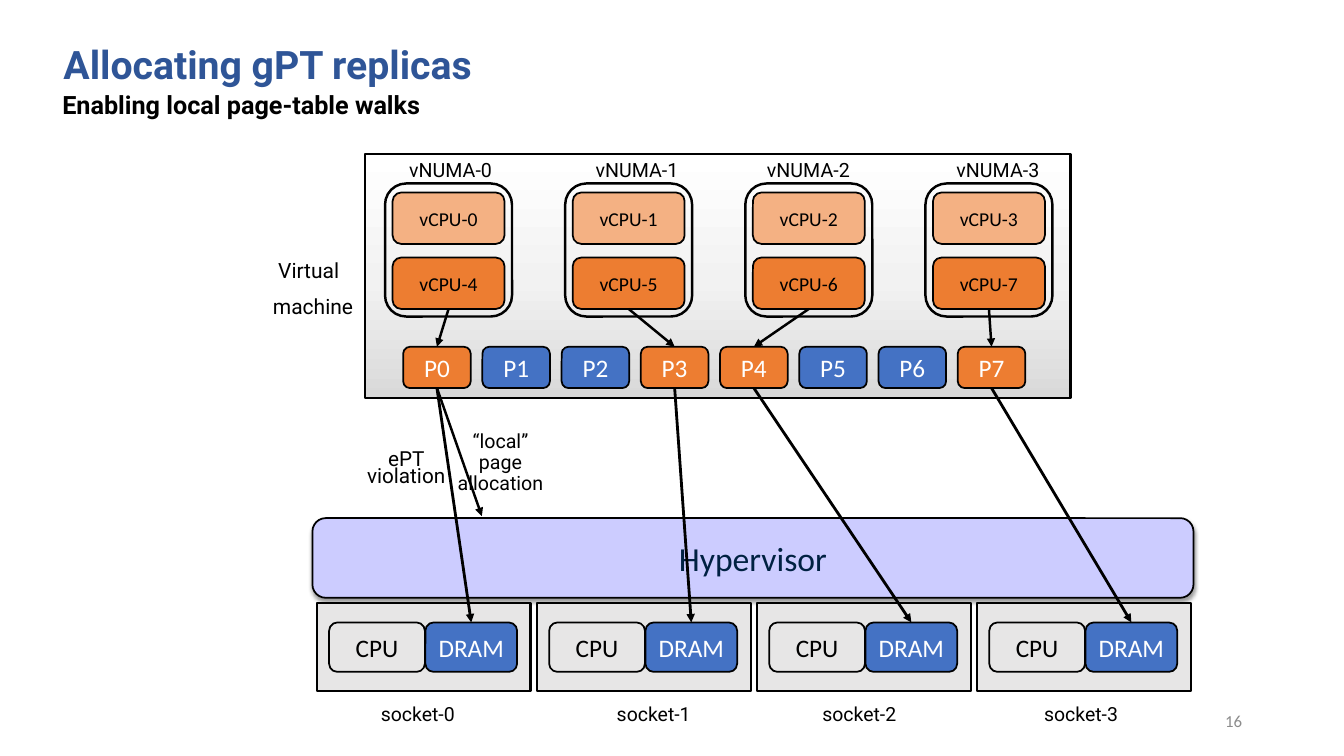
from copy import deepcopy

from lxml.etree import SubElement
from pptx import Presentation
from pptx.dml.color import RGBColor
from pptx.enum.shapes import MSO_CONNECTOR as Link, MSO_SHAPE as Form
from pptx.enum.text import MSO_ANCHOR as Anchor, PP_ALIGN as Align
from pptx.oxml.ns import qn
from pptx.util import Inches, Pt

CELL = Inches(0.1)
COLUMNS, ROWS = 133.33, 75
TOP, BOTTOM = 0, 2

BLACK = RGBColor(0x00, 0x00, 0x00)
WHITE = RGBColor(0xFF, 0xFF, 0xFF)
TITLE_BLUE = RGBColor(0x2F, 0x55, 0x97)
NAVY = RGBColor(0x00, 0x21, 0x42)
GRAY = RGBColor(0x8C, 0x8C, 0x8C)
LAVENDER = RGBColor(0xCC, 0xCC, 0xFF)
BLUE = RGBColor(0x44, 0x72, 0xC4)
ORANGE = RGBColor(0xED, 0x7D, 0x31)
PEACH = RGBColor(0xF4, 0xB1, 0x83)
SILVER = RGBColor(0xE7, 0xE6, 0xE6)
VM_STOPS = (
    (0, RGBColor(0xD9, 0xD9, 0xD9)),
    (0.48, RGBColor(0xF2, 0xF2, 0xF2)),
    (1, WHITE),
)

LOCAL_PAGES = (0, 3, 4, 7)
VNUMA_LABEL_COLUMNS = (38.3, 56.8, 73.8, 92.6)
SOCKET_LABEL_COLUMNS = (36.8, 60.2, 80.6, 102.6)


def cells(*counts):
    """Turn counts of grid cells into lengths."""
    return [round(count * CELL) for count in counts]


def apply(target, values):
    """Set each named format value on the target."""
    for name, value in values.items():
        setattr(target, name, value)


def write(frame, text, size, color, face, bold=False, **layout):
    """Write one paragraph per line of text with a common format."""
    frame.text = text
    for index, paragraph in enumerate(frame.paragraphs):
        apply(paragraph, layout)
        if index:
            paragraph.space_before = Pt(10)
        apply(paragraph.font, {"size": Pt(size), "name": face, "bold": bold})
        paragraph.font.color.rgb = color


def box(slide, area, fill=None, weight=1.25, form=Form.ROUNDED_RECTANGLE):
    """Add an outlined box, unfilled when no colour is given."""
    shape = slide.shapes.add_shape(form, *cells(*area))
    shape.shadow.inherit = False
    if fill is None:
        shape.fill.background()
    else:
        shape.fill.solid()
        shape.fill.fore_color.rgb = fill
    shape.line.color.rgb = BLACK
    shape.line.width = Pt(weight)
    return shape


def node(slide, area, text, fill, size=18, color=WHITE):
    """Add a rounded box with a centred label."""
    shape = box(slide, area, fill)
    apply(shape.text_frame, {"vertical_anchor": Anchor.MIDDLE, "word_wrap": False})
    write(shape.text_frame, text, size, color, "Calibri", alignment=Align.CENTER)
    return shape


def label(slide, area, text, size, color=BLACK, face="Roboto", bold=False,
          frame_format=None, **layout):
    """Add a free text label."""
    frame = slide.shapes.add_textbox(*cells(*area)).text_frame
    apply(frame, {"word_wrap": True, **(frame_format or {})})
    write(frame, text, size, color, face, bold, **layout)


def arrow(slide, source, target=None, end=(0, 0), weight=1.75):
    """Draw an arrow from a box's bottom to another's top or to a point."""
    connector = slide.shapes.add_connector(Link.STRAIGHT, 0, 0, *cells(*end))
    connector.begin_connect(source, BOTTOM)
    if target is not None:
        connector.end_connect(target, TOP)
    connector.line.color.rgb = BLACK
    connector.line.width = Pt(weight)
    SubElement(connector.get_or_add_ln(), qn("a:tailEnd"), type="triangle")
    SubElement(connector._element.spPr, qn("a:effectLst"))


def heading(slide):
    """Add the title, the subtitle and the page number."""
    flush = dict.fromkeys(
        ("margin_left", "margin_top", "margin_right", "margin_bottom"), 0)
    label(slide, (6.3, 4.5, 120.3, 4.2), "Allocating gPT replicas", 28, TITLE_BLUE,
          bold=True, line_spacing=0.9,
          frame_format={**flush, "vertical_anchor": Anchor.BOTTOM, "word_wrap": False})
    label(slide, (5.2, 8.7, 87.4, 5), "Enabling local page-table walks", 18,
          bold=True, line_spacing=0.9)
    label(slide, (94.2, 69.5, 30, 4), "16", 12, GRAY, "Calibri",
          frame_format={"vertical_anchor": Anchor.MIDDLE}, alignment=Align.RIGHT)


def hypervisor(slide):
    """Add the hypervisor bar with its soft shadow."""
    bar = node(slide, (31, 51.4, 87.4, 7.9), "Hypervisor", LAVENDER, 24, NAVY)
    effects = bar._element.spPr.find(qn("a:effectLst"))
    shadow = SubElement(effects, qn("a:outerShdw"), blurRad=str(Pt(3.1)),
                        dist=str(Pt(1.6)), dir="5400000", rotWithShape="0")
    tint = SubElement(shadow, qn("a:srgbClr"), val="000000")
    SubElement(tint, qn("a:alpha"), val="38000")


def virtual_machine(slide):
    """Add the shaded virtual machine frame and its caption."""
    frame = box(slide, (36.2, 15.3, 70, 24.2), WHITE, 1.75, Form.RECTANGLE)
    frame.fill.gradient()
    frame.fill.gradient_angle = 90
    stop_list = frame._element.spPr.find(".//" + qn("a:gsLst"))
    stop_list.insert(1, deepcopy(stop_list[0]))
    for stop, (position, color) in zip(frame.fill.gradient_stops, VM_STOPS):
        stop.position = position
        stop.color.rgb = color
    label(slide, (26.1, 25.3, 13.4, 10.3), " Virtual\nmachine", 15, line_spacing=0.9)


def vnuma_node(slide, index):
    """Add one virtual node and return its lower vCPU."""
    column = 38.2 + 17.87 * index
    label(slide, (VNUMA_LABEL_COLUMNS[index], 15.4, 12.8, 5.5), f"vNUMA-{index}", 14,
          alignment=Align.CENTER, line_spacing=0.9)
    box(slide, (column, 18.2, 12.6, 13.2), weight=1.75)
    upper, lower = (
        node(slide, (column + 0.75, 19.1 + 6.45 * row, 11.1, 5.1),
             f"vCPU-{index + 4 * row}", fill, 14, BLACK)
        for row, fill in enumerate((PEACH, ORANGE)))
    return lower


def page(slide, index):
    """Add one page-table page, orange when it is a local one."""
    fill = ORANGE if index in LOCAL_PAGES else BLUE
    return node(slide, (40 + 7.86 * index, 34.4, 6.7, 4.1), f"P{index}", fill)


def socket(slide, index):
    """Add one socket and return its DRAM."""
    column = 31.45 + 21.83 * index
    box(slide, (column, 59.85, 21.2, 8.7), SILVER, 1.75, Form.RECTANGLE)
    dram = node(slide, (column + 10.75, 61.75, 9.1, 4.9), "DRAM", BLUE)
    node(slide, (column + 1.2, 61.75, 9.5, 4.9), "CPU", SILVER, color=BLACK)
    label(slide, (SOCKET_LABEL_COLUMNS[index], 69.8, 11.4, 2.8), f"socket-{index}",
          13.9, line_spacing=0.7)
    return dram


def main():
    """Build the slide and save it."""
    deck = Presentation()
    deck.slide_width, deck.slide_height = cells(COLUMNS, ROWS)
    slide = deck.slides.add_slide(deck.slide_layouts[6])
    heading(slide)
    hypervisor(slide)
    virtual_machine(slide)
    vcpus = [vnuma_node(slide, index) for index in range(4)]
    pages = [page(slide, index) for index in range(8)]
    drams = [socket(slide, index) for index in range(4)]
    for vcpu, local, dram in zip(vcpus, LOCAL_PAGES, drams):
        arrow(slide, vcpu, pages[local])
        arrow(slide, pages[local], dram, weight=2)
    arrow(slide, pages[0], end=(47.8, 51.2))
    label(slide, (33.8, 44.4, 13, 4.8), "ePT violation", 14.8,
          alignment=Align.CENTER, line_spacing=0.7)
    label(slide, (43.7, 42.3, 11.9, 11.5), "“local” page allocation", 14,
          alignment=Align.CENTER, line_spacing=0.9)
    deck.save("out.pptx")


if __name__ == "__main__":
    main()
